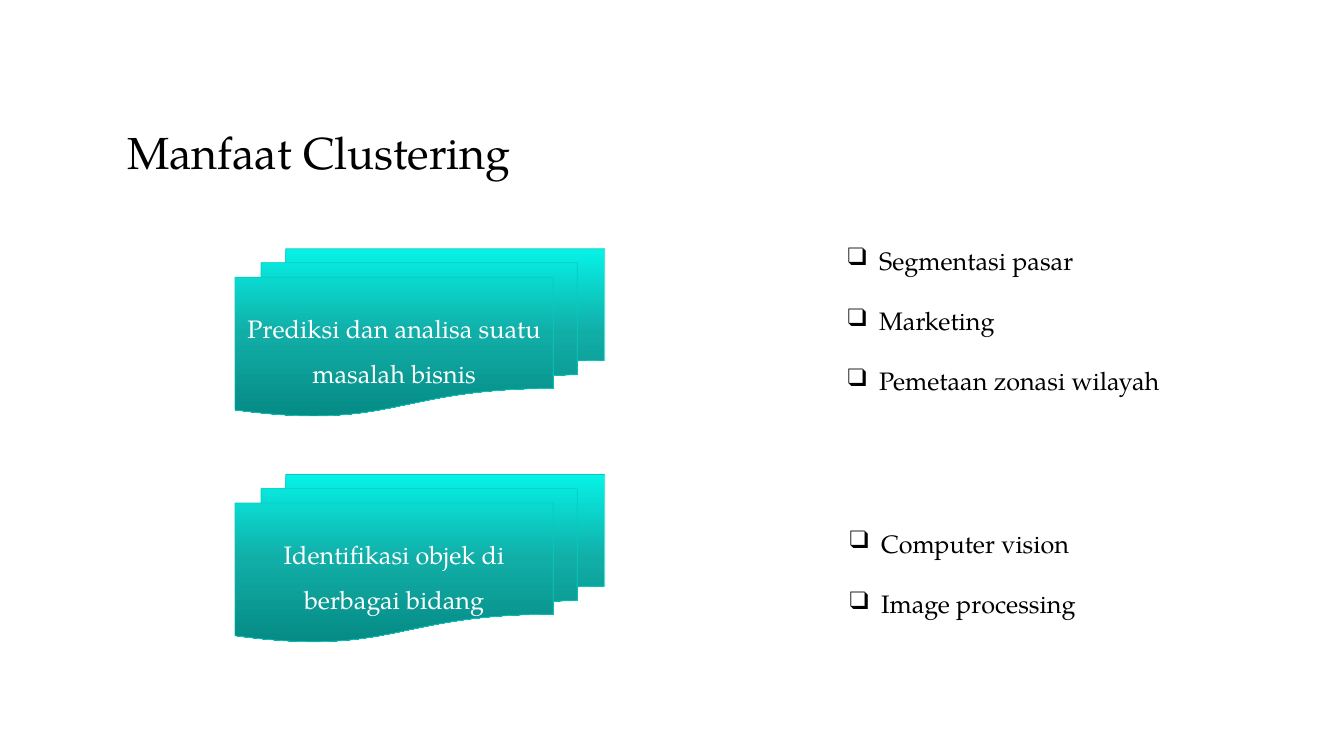
from dataclasses import dataclass

from lxml import etree
from pptx import Presentation
from pptx.dml.color import RGBColor
from pptx.enum.shapes import MSO_SHAPE
from pptx.enum.text import MSO_ANCHOR, MSO_AUTO_SIZE, PP_ALIGN
from pptx.oxml.ns import qn
from pptx.shapes.base import BaseShape
from pptx.slide import Slide
from pptx.text.text import TextFrame, _Paragraph
from pptx.util import Cm, Pt

DOCUMENT_STACK = MSO_SHAPE.FLOWCHART_MULTIDOCUMENT
ANCHOR_BOTTOM, ANCHOR_MIDDLE, ANCHOR_TOP = MSO_ANCHOR.BOTTOM, MSO_ANCHOR.MIDDLE, MSO_ANCHOR.TOP
FIXED_SIZE, GROW_WITH_TEXT = MSO_AUTO_SIZE.NONE, MSO_AUTO_SIZE.SHAPE_TO_FIT_TEXT
LEFT, CENTER = PP_ALIGN.LEFT, PP_ALIGN.CENTER
TWO_CONTENT_LAYOUT = 3


@dataclass(frozen=True)
class Theme:
    font: str = "TeX Gyre Pagella"
    title_size: float = 32
    body_size: float = 18
    dark: str = "000000"
    light: str = "FFFFFF"
    outline: str = "08CAC1"
    outline_width: float = 0.5
    gradient: tuple[tuple[int, str], ...] = ((0, "06F2E7"), (50, "11AEA7"), (100, "068B85"))


@dataclass(frozen=True)
class Box:
    left: float
    top: float
    width: float
    height: float


@dataclass(frozen=True)
class Benefit:
    text: str
    card: Box
    examples: tuple[str, ...]
    examples_box: Box


THEME = Theme()
TITLE = "Manfaat Clustering"
TITLE_BOX = Box(2.95, 1.47, 26.67, 3.18)
BULLET = "❑"
BULLET_INDENT = 0.79
BENEFITS = (
    Benefit(
        "Prediksi dan analisa suatu masalah bisnis",
        Box(5.92, 6.27, 9.32, 4.22),
        ("Segmentasi pasar", "Marketing", "Pemetaan zonasi wilayah"),
        Box(21.11, 5.28, 8.46, 4.65),
    ),
    Benefit(
        "Identifikasi objek di berbagai bidang",
        Box(5.92, 11.96, 9.32, 4.22),
        ("Computer vision", "Image processing"),
        Box(21.16, 12.42, 8.46, 3.33),
    ),
)


def place(shape: BaseShape, box: Box) -> None:
    shape.left, shape.top = Cm(box.left), Cm(box.top)
    shape.width, shape.height = Cm(box.width), Cm(box.height)


def prepare_frame(frame: TextFrame, anchor: MSO_ANCHOR, auto_size: MSO_AUTO_SIZE) -> None:
    frame.word_wrap = True
    frame.vertical_anchor = anchor
    frame.auto_size = auto_size


def write(paragraph: _Paragraph, text: str, size: float, color: str,
          alignment: PP_ALIGN, line_spacing: float) -> None:
    paragraph.alignment = alignment
    paragraph.line_spacing = line_spacing
    paragraph.space_before = Pt(0)
    run = paragraph.add_run()
    run.text = text
    run.font.name = THEME.font
    run.font.size = Pt(size)
    run.font.color.rgb = RGBColor.from_string(color)


def add_bullet(paragraph: _Paragraph) -> None:
    properties = paragraph._p.get_or_add_pPr()
    properties.set("marL", str(Cm(BULLET_INDENT)))
    properties.set("indent", str(-Cm(BULLET_INDENT)))
    etree.SubElement(properties, qn("a:buFont"), typeface=THEME.font)
    etree.SubElement(properties, qn("a:buChar"), char=BULLET)


def fill_gradient(shape: BaseShape) -> None:
    shape.fill.gradient()
    shape.fill.gradient_angle = 270
    stops = shape._element.spPr.find(f".//{qn('a:gsLst')}")
    for stop in list(stops):
        stops.remove(stop)
    for position, color in THEME.gradient:
        stop = etree.SubElement(stops, qn("a:gs"), pos=str(position * 1000))
        etree.SubElement(stop, qn("a:srgbClr"), val=color)


def draw_title(slide: Slide) -> None:
    title = slide.shapes.title
    place(title, TITLE_BOX)
    prepare_frame(title.text_frame, ANCHOR_BOTTOM, FIXED_SIZE)
    write(title.text_frame.paragraphs[0], TITLE, THEME.title_size, THEME.dark, LEFT, 0.9)


def draw_card(slide: Slide, benefit: Benefit) -> None:
    box = benefit.card
    card = slide.shapes.add_shape(
        DOCUMENT_STACK, Cm(box.left), Cm(box.top), Cm(box.width), Cm(box.height))
    card.shadow.inherit = False
    fill_gradient(card)
    card.line.color.rgb = RGBColor.from_string(THEME.outline)
    card.line.width = Pt(THEME.outline_width)
    prepare_frame(card.text_frame, ANCHOR_MIDDLE, FIXED_SIZE)
    write(card.text_frame.paragraphs[0], benefit.text, THEME.body_size, THEME.light, CENTER, 1.5)


def draw_examples(placeholder: BaseShape, benefit: Benefit) -> None:
    place(placeholder, benefit.examples_box)
    frame = placeholder.text_frame
    prepare_frame(frame, ANCHOR_TOP, GROW_WITH_TEXT)
    for index, example in enumerate(benefit.examples):
        paragraph = frame.add_paragraph() if index else frame.paragraphs[0]
        write(paragraph, example, THEME.body_size, THEME.dark, LEFT, 2.0)
        add_bullet(paragraph)


def main() -> None:
    presentation = Presentation()
    presentation.slide_width, presentation.slide_height = Cm(33.87), Cm(19.05)
    slide = presentation.slides.add_slide(presentation.slide_layouts[TWO_CONTENT_LAYOUT])
    draw_title(slide)
    bodies = [shape for shape in slide.placeholders if shape.placeholder_format.idx]
    for body in bodies[len(BENEFITS):]:
        body.element.getparent().remove(body.element)
    for body, benefit in zip(bodies, BENEFITS):
        draw_card(slide, benefit)
        draw_examples(body, benefit)
    presentation.save("out.pptx")


if __name__ == "__main__":
    main()
